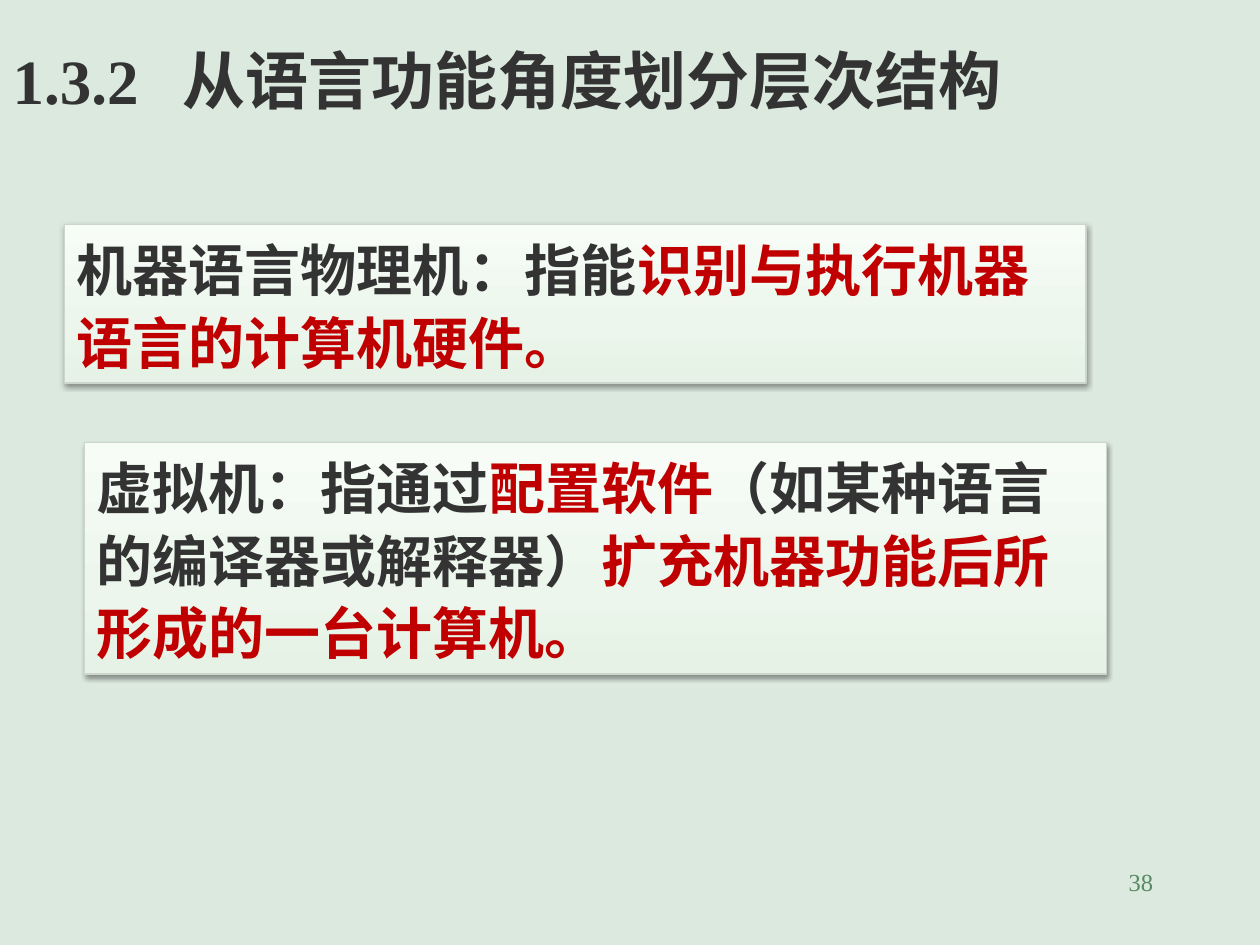
"""Build the slide that contrasts a physical machine with a virtual machine."""
import copy
from dataclasses import dataclass

import pptx
import pptx.dml.color
import pptx.enum.shapes
import pptx.enum.text
import pptx.oxml
import pptx.oxml.ns
import pptx.util

RGB = pptx.dml.color.RGBColor
ALIGN = pptx.enum.text.PP_ALIGN
MINT = RGB(0xDC, 0xE9, 0xDF)
INK = RGB(0x33, 0x33, 0x33)
RED = RGB(0xC0, 0x00, 0x00)
GREEN = RGB(0x57, 0x89, 0x63)
BORDER = RGB(0xCC, 0xD6, 0xCC)
GRADIENT = [
    (0, RGB(0xE5, 0xF2, 0xE5)),
    (0.35, RGB(0xEC, 0xF6, 0xEC)),
    (1, RGB(0xF7, 0xFC, 0xF7)),
]
FONT = "Times New Roman"
WIDTH, HEIGHT = pptx.util.Inches(10), pptx.util.Inches(7.5)
COLUMNS, ROWS = 100, 75
CARD_WIDTH = 81.1


@dataclass(frozen=True)
class Card:
    left: float
    top: float
    height: float
    runs: tuple


CARDS = [
    Card(6.7, 35.1, 18.4, (
        ("虚拟机：指通过", INK),
        ("配置软件", RED),
        ("（如某种语言的编译器或解释器）", INK),
        ("扩充机器功能后所形成的一台计算机。", RED),
    )),
    Card(5.1, 17.8, 12.6, (
        ("机器语言物理机：指能", INK),
        ("识别与执行机器语言的计算机硬件。", RED),
    )),
]


def grid(left: float, top: float, width: float, height: float) -> tuple:
    """Turn grid columns and rows into slide lengths."""
    col, row = WIDTH / COLUMNS, HEIGHT / ROWS
    return round(left * col), round(top * row), round(width * col), round(height * row)


def write(sp, runs, *, size: float, bold=False, align=ALIGN.LEFT, spacing=None, tab=None) -> None:
    """Fill a shape with one paragraph of (text, colour) runs."""
    tf = sp.text_frame
    tf.word_wrap = True
    tf.vertical_anchor = pptx.enum.text.MSO_ANCHOR.TOP
    p = tf.paragraphs[0]
    p.alignment = align
    if spacing:
        p.line_spacing = pptx.util.Pt(spacing)
    if tab:
        tabs = pptx.oxml.parse_xml(
            f'<a:tabLst {pptx.oxml.ns.nsdecls("a")}>'
            f'<a:tab pos="{pptx.util.Inches(tab)}" algn="l"/></a:tabLst>')
        p._p.get_or_add_pPr().append(tabs)
    for text, color in runs:
        r = p.add_run()
        r.text = text
        r.font.name, r.font.size, r.font.bold = FONT, pptx.util.Pt(size), bold
        r.font.color.rgb = color


def style_card(sp) -> None:
    """Give a card its gradient, border and soft shadow."""
    sp.fill.gradient()
    sp.fill.gradient_angle = 90
    stops = sp._element.spPr.find(".//" + pptx.oxml.ns.qn("a:gsLst"))
    stops.append(copy.deepcopy(stops[0]))
    for stop, (position, color) in zip(sp.fill.gradient_stops, GRADIENT):
        stop.position = position
        stop.color.rgb = color
    sp.line.color.rgb = BORDER
    sp.line.width = pptx.util.Pt(0.75)
    sp.shadow.inherit = False
    effects = sp._element.spPr.find(pptx.oxml.ns.qn("a:effectLst"))
    effects.append(pptx.oxml.parse_xml(
        f'<a:outerShdw {pptx.oxml.ns.nsdecls("a")} blurRad="{pptx.util.Pt(3.1)}" '
        f'dist="{pptx.util.Pt(1.6)}" dir="5400000" rotWithShape="0">'
        '<a:srgbClr val="000000"><a:alpha val="38000"/></a:srgbClr></a:outerShdw>'))


def add_card(s, card: Card) -> None:
    """Draw one definition card."""
    sp = s.shapes.add_shape(
        pptx.enum.shapes.MSO_SHAPE.RECTANGLE,
        *grid(card.left, card.top, CARD_WIDTH, card.height))
    style_card(sp)
    write(sp, card.runs, size=32, bold=True, spacing=41.4)
    sp.text_frame.auto_size = pptx.enum.text.MSO_AUTO_SIZE.SHAPE_TO_FIT_TEXT


def main() -> None:
    """Create and save the slide."""
    prs = pptx.Presentation()
    prs.slide_width, prs.slide_height = WIDTH, HEIGHT
    s = prs.slides.add_slide(prs.slide_layouts.get_by_name("Title Only"))
    s.background.fill.solid()
    s.background.fill.fore_color.rgb = MINT

    title = s.shapes.title
    title.left, title.top, title.width, title.height = grid(0, 2.8, 95.7, 7)
    write(title, [("1.3.2\t从语言功能角度划分层次结构", INK)], size=36, bold=True, tab=1.35)
    title.text_frame.auto_size = pptx.enum.text.MSO_AUTO_SIZE.SHAPE_TO_FIT_TEXT

    number = s.shapes.add_textbox(*grid(71.7, 68.3, 20.8, 5))
    write(number, [("38", GREEN)], size=14, align=ALIGN.RIGHT)

    for card in CARDS:
        add_card(s, card)
    prs.save("out.pptx")


if __name__ == "__main__":
    main()
